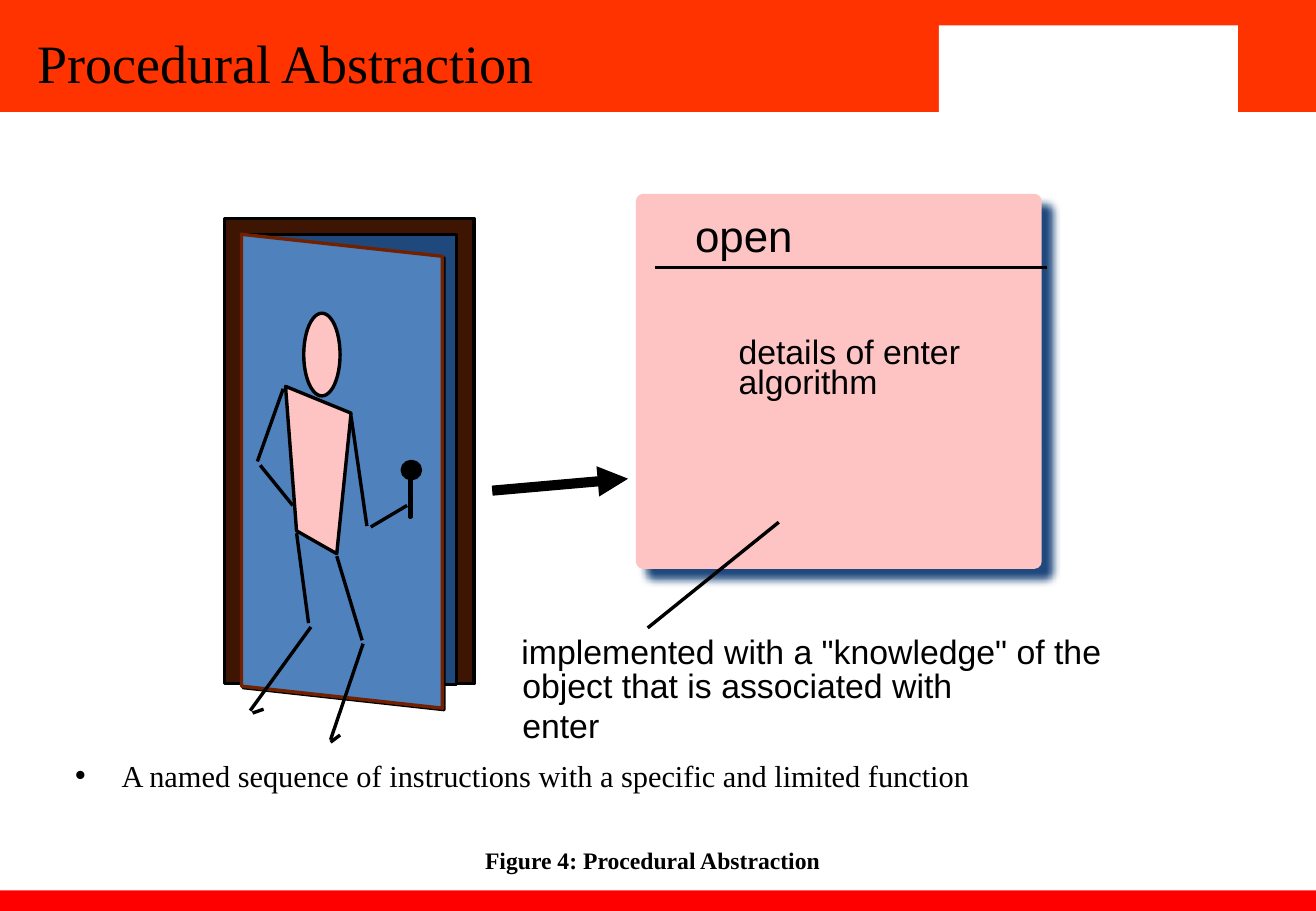
from pptx import Presentation
from pptx.dml.color import RGBColor
from pptx.enum.shapes import MSO_CONNECTOR, MSO_SHAPE
from pptx.enum.text import MSO_ANCHOR, PP_ALIGN
from pptx.oxml import parse_xml
from pptx.oxml.ns import nsdecls, qn
from pptx.util import Cm, Pt

RECTANGLE = MSO_SHAPE.RECTANGLE
ROUNDED = MSO_SHAPE.ROUNDED_RECTANGLE
OVAL = MSO_SHAPE.OVAL
STRAIGHT = MSO_CONNECTOR.STRAIGHT
LEFT = PP_ALIGN.LEFT
TOP = MSO_ANCHOR.TOP
MIDDLE = MSO_ANCHOR.MIDDLE

SERIF, SANS = "Times New Roman", "Arial"
BLACK, WHITE = "000000", "FFFFFF"
ORANGE, RED = "FF3300", "FF0000"
PINK, BLUE, NAVY = "FEC4C4", "4F81BD", "1F497D"
FRAME_BROWN, EDGE_BROWN = "3E1403", "712000"


def color(value):
    return RGBColor.from_string(value)


class SlideBuilder:
    """Draws styled elements on the current slide."""

    def __init__(self, slide, line_width=2):
        self.slide = slide
        self.line_width = line_width

    def paint(self, shape, fill, line):
        shape.shadow.inherit = False
        if fill:
            shape.fill.solid()
            shape.fill.fore_color.rgb = color(fill)
        else:
            shape.fill.background()
        if line:
            shape.line.color.rgb = color(line)
            shape.line.width = Pt(self.line_width)
        else:
            shape.line.fill.background()

    def shape(self, kind, box, fill, line=None, corner=None):
        shape = self.slide.shapes.add_shape(kind, *map(Cm, box))
        self.paint(shape, fill, line)
        if corner is not None:
            shape.adjustments[0] = corner
        return shape

    def polygon(self, points, fill, line):
        corners = [(Cm(x), Cm(y)) for x, y in points]
        builder = self.slide.shapes.build_freeform(*corners[0])
        builder.add_line_segments(corners[1:], close=True)
        self.paint(builder.convert_to_shape(), fill, line)

    def line(self, start, end, width=None, arrow=False):
        connector = self.slide.shapes.add_connector(STRAIGHT, *map(Cm, (*start, *end)))
        connector.line.color.rgb = color(BLACK)
        connector.line.width = Pt(width or self.line_width)
        if arrow:
            connector.line._get_or_add_ln().append(
                parse_xml(f'<a:tailEnd {nsdecls("a")} type="triangle"/>'))
        connector.element.spPr.append(parse_xml(f'<a:effectLst {nsdecls("a")}/>'))

    def drop_shadow(self, shape, value, blur, distance):
        effects = shape.element.spPr.find(qn("a:effectLst"))
        effects.append(parse_xml(
            f'<a:outerShdw {nsdecls("a")} blurRad="{Pt(blur)}" dist="{Pt(distance)}" '
            f'dir="2700000" algn="tl" rotWithShape="0"><a:srgbClr val="{value}"/></a:outerShdw>'))

    def format_text(self, shape, text, size, font, insets, anchor=TOP, bold=False):
        frame = shape.text_frame
        frame.text = text
        frame.word_wrap = True
        frame.vertical_anchor = anchor
        frame.margin_left = frame.margin_right = Cm(insets[0])
        frame.margin_top = frame.margin_bottom = Cm(insets[1])
        paragraph = frame.paragraphs[0]
        paragraph.alignment = LEFT
        run_font = paragraph.runs[0].font
        run_font.name, run_font.size, run_font.bold = font, Pt(size), bold
        run_font.color.rgb = color(BLACK)
        return paragraph

    def text(self, box, text, size=20, font=SANS, bold=False):
        textbox = self.slide.shapes.add_textbox(*map(Cm, box))
        self.format_text(textbox, text, size, font, (0.28, 0.13), bold=bold)

    def placeholder(self, index, box, text, size, spacing, insets, anchor=TOP):
        placeholder = self.slide.placeholders[index]
        placeholder.left, placeholder.top, placeholder.width, placeholder.height = map(Cm, box)
        paragraph = self.format_text(placeholder, text, size, SERIF, insets, anchor)
        paragraph.line_spacing = spacing
        paragraph.space_before = Pt(0)
        placeholder.element.getparent().append(placeholder.element)
        return paragraph

    def bullet(self, paragraph, margin, hanging):
        properties = paragraph._p.get_or_add_pPr()
        properties.set("marL", str(Cm(margin)))
        properties.set("indent", str(-Cm(hanging)))
        properties.append(parse_xml(
            f'<a:buClr {nsdecls("a")}><a:srgbClr val="{BLACK}"/></a:buClr>'))
        properties.append(parse_xml(f'<a:buChar {nsdecls("a")} char="•"/>'))


def draw_banner(builder):
    builder.shape(RECTANGLE, (0, 0, 27.51, 2.34), ORANGE)
    builder.shape(RECTANGLE, (0, 18.62, 27.51, 0.43), RED)
    builder.shape(RECTANGLE, (19.63, 0.53, 6.25, 1.91), WHITE)
    builder.placeholder(0, (0.58, 0.61, 13.18, 1.52), "Procedural Abstraction",
                        32, 0.9, (0.2, 0.08), MIDDLE)
    paragraph = builder.placeholder(
        1, (1.27, 15.98, 24.77, 1),
        "A named sequence of instructions with a specific and limited function",
        18, 0.8, (0, 0))
    builder.bullet(paragraph, 1.27, 0.97)


def draw_door(builder):
    builder.shape(RECTANGLE, (4.7, 4.57, 5.21, 9.73), FRAME_BROWN, BLACK)
    builder.shape(RECTANGLE, (5.05, 4.9, 4.5, 9.42), NAVY, BLACK)
    leaf = [(5.05, 4.9), (9.25, 5.36), (9.25, 14.81), (5.05, 14.35)]
    builder.polygon([(x + 0.03, y + 0.03) for x, y in leaf], None, BLACK)
    builder.polygon(leaf, BLUE, EDGE_BROWN)
    builder.shape(OVAL, (8.41, 9.65, 0.38, 0.36), BLACK, BLACK)
    builder.shape(RECTANGLE, (8.56, 9.98, 0.03, 0.84), BLACK, BLACK)


def draw_person(builder):
    builder.shape(OVAL, (6.35, 6.55, 0.76, 1.73), PINK, BLACK)
    builder.polygon([(5.97, 8.08), (7.34, 8.64), (7.04, 11.58), (6.2, 11.1)], PINK, BLACK)
    limbs = [
        ((7.34, 8.71), (7.67, 11)), ((7.75, 11.02), (8.51, 10.57)),
        ((5.92, 8.13), (5.38, 9.65)), ((5.44, 9.73), (6.12, 10.57)),
        ((7.04, 11.63), (7.57, 13.39)), ((7.59, 13.46), (6.91, 15.47)),
        ((6.91, 15.52), (7.11, 15.37)), ((6.2, 11.15), (6.45, 13.03)),
        ((6.5, 13.11), (5.23, 14.86)), ((5.28, 14.91), (5.51, 14.83)),
    ]
    for start, end in limbs:
        builder.line(start, end)


def draw_card(builder):
    builder.line((10.29, 10.26), (13.13, 10.01), width=6, arrow=True)
    card = builder.shape(ROUNDED, (13.33, 4.09, 8.41, 7.77), PINK, PINK, corner=0.015)
    builder.drop_shadow(card, NAVY, blur=5, distance=8.5)
    builder.line((13.69, 5.59), (21.89, 5.59))
    builder.line((16.28, 10.92), (13.54, 13.13))
    builder.text((14.25, 4.24, 5.11, 1.37), "open", size=26)
    for box, text in [
        ((15.16, 6.78, 5.38, 1.12), "details of enter"),
        ((15.16, 7.42, 5.51, 1.12), "algorithm"),
        ((10.62, 13.06, 13.06, 1.12), 'implemented with a "knowledge" of the'),
        ((10.64, 13.77, 11.35, 1.12), "object that is associated with enter"),
    ]:
        builder.text(box, text)
    builder.text((9.86, 17.55, 7.6, 0.86), "Figure 4: Procedural Abstraction",
                 size=14, font=SERIF, bold=True)


def main():
    presentation = Presentation()
    presentation.slide_width, presentation.slide_height = Cm(27.51), Cm(19.05)
    builder = SlideBuilder(presentation.slides.add_slide(presentation.slide_layouts[1]))
    draw_banner(builder)
    draw_door(builder)
    draw_person(builder)
    draw_card(builder)
    presentation.save("out.pptx")


if __name__ == "__main__":
    main()
